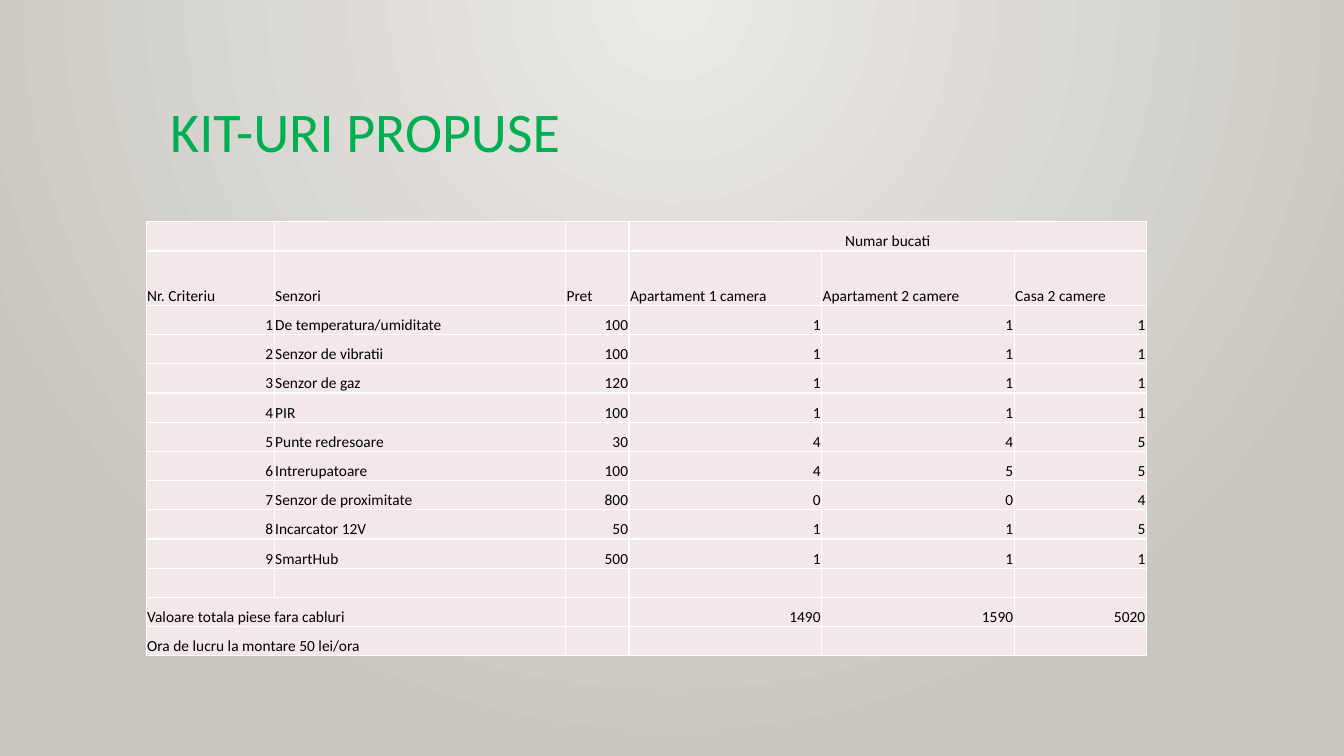
import dataclasses

import lxml.etree
import pptx
import pptx.dml.color
import pptx.enum.text
import pptx.oxml
import pptx.oxml.ns
import pptx.util

Inches = pptx.util.Inches
Align = pptx.enum.text.PP_ALIGN
Anchor = pptx.enum.text.MSO_ANCHOR


@dataclasses.dataclass(frozen=True)
class Theme:
    """Colours and type sizes of the slide."""

    font: str = "Calibri"
    title: str = "00B050"
    ink: str = "000000"
    cell: str = "F3E8E9"
    rule: str = "FFFFFF"
    glow: str = "ECEAE7"
    edge: str = "CAC7C1"
    head: int = 40
    body: int = 11


THEME = Theme()
WIDTHS = [1.27, 2.89, 0.63, 1.91, 1.91, 1.31]
LOW, TALL = 0.29, 0.54
ROWS = [
    ["", "", "", "Numar bucati", "", ""],
    ["Nr. Criteriu", "Senzori", "Pret", "Apartament 1 camera",
     "Apartament 2 camere", "Casa 2 camere"],
    [1, "De temperatura/umiditate", 100, 1, 1, 1],
    [2, "Senzor de vibratii", 100, 1, 1, 1],
    [3, "Senzor de gaz", 120, 1, 1, 1],
    [4, "PIR", 100, 1, 1, 1],
    [5, "Punte redresoare", 30, 4, 4, 5],
    [6, "Intrerupatoare", 100, 4, 5, 5],
    [7, "Senzor de proximitate", 800, 0, 0, 4],
    [8, "Incarcator 12V", 50, 1, 1, 5],
    [9, "SmartHub", 500, 1, 1, 1],
    [""] * 6,
    ["Valoare totala piese fara cabluri", "", "", 1490, 1590, 5020],
    ["Ora de lucru la montare 50 lei/ora", "", "", "", "", ""],
]
SPANS = [(0, 3, 5), (12, 0, 1), (13, 0, 1)]


def write(frame, text, size, color, align=Align.LEFT, space=1.0):
    """Put formatted text in the first paragraph of a frame."""
    para = frame.paragraphs[0]
    para.alignment = align
    para.line_spacing = space
    if not text:
        tag = pptx.oxml.ns.qn("a:endParaRPr")
        lxml.etree.SubElement(para._p, tag, sz=str(size * 100))
        return
    run = para.add_run()
    run.text = text
    run.font.name = THEME.font
    run.font.size = pptx.util.Pt(size)
    run.font.color.rgb = pptx.dml.color.RGBColor.from_string(color)


def paint(slide):
    """Fill the background with a radial gradient from the top centre."""
    space = pptx.oxml.ns.nsdecls("p", "a")
    back = pptx.oxml.parse_xml(
        f'<p:bg {space}><p:bgPr><a:gradFill rotWithShape="1"><a:gsLst>'
        f'<a:gs pos="0"><a:srgbClr val="{THEME.glow}"/></a:gs>'
        f'<a:gs pos="100000"><a:srgbClr val="{THEME.edge}"/></a:gs></a:gsLst>'
        '<a:path path="circle">'
        '<a:fillToRect l="43000" t="0" r="43000" b="100000"/></a:path>'
        '</a:gradFill><a:effectLst/></p:bgPr></p:bg>')
    slide.element.cSld.insert(0, back)


def title(slide, left, top, width, height):
    """Place the slide title in its box."""
    box = slide.shapes.add_textbox(
        Inches(left), Inches(top), Inches(width), Inches(height))
    box.text_frame.word_wrap = True
    box.text_frame.vertical_anchor = Anchor.TOP
    write(box.text_frame, "KIT-URI PROPUSE", THEME.head, THEME.title, space=0.9)


def style(cell):
    """Give a cell its borders, fill, margins and anchor."""
    props = cell._tc.get_or_add_tcPr()
    for side in "LRTB":
        props.append(pptx.oxml.parse_xml(
            f'<a:ln{side} {pptx.oxml.ns.nsdecls("a")} w="12700"><a:solidFill>'
            f'<a:srgbClr val="{THEME.rule}"/></a:solidFill></a:ln{side}>'))
    cell.fill.solid()
    cell.fill.fore_color.rgb = pptx.dml.color.RGBColor.from_string(THEME.cell)
    cell.margin_left = cell.margin_right = cell.margin_top = Inches(0.01)
    cell.margin_bottom = 0
    cell.vertical_anchor = Anchor.BOTTOM


def prices(slide, left, top):
    """Place the price table at its corner."""
    highs = [TALL if row == 1 else LOW for row in range(len(ROWS))]
    grid = slide.shapes.add_table(
        len(ROWS), len(WIDTHS), Inches(left), Inches(top),
        Inches(sum(WIDTHS)), Inches(sum(highs))).table
    grid.first_row = grid.horz_banding = False
    for col, width in zip(grid.columns, WIDTHS):
        col.width = Inches(width)
    for line, high in zip(grid.rows, highs):
        line.height = Inches(high)
    for row, items in enumerate(ROWS):
        for col, item in enumerate(items):
            cell = grid.cell(row, col)
            style(cell)
            align = Align.RIGHT if isinstance(item, int) else Align.LEFT
            if row == 0:
                align = Align.CENTER
            write(cell.text_frame, str(item), THEME.body, THEME.ink, align=align)
    for row, first, last in SPANS:
        grid.cell(row, first).merge(grid.cell(row, last))


def main():
    """Build and save the slide."""
    deck = pptx.Presentation()
    deck.slide_width, deck.slide_height = Inches(13.33), Inches(7.5)
    slide = deck.slides.add_slide(deck.slide_layouts[6])
    paint(slide)
    title(slide, 1.59, 0.98, 10.5, 1.15)
    prices(slide, 1.45, 2.2)
    deck.save("out.pptx")


if __name__ == "__main__":
    main()
